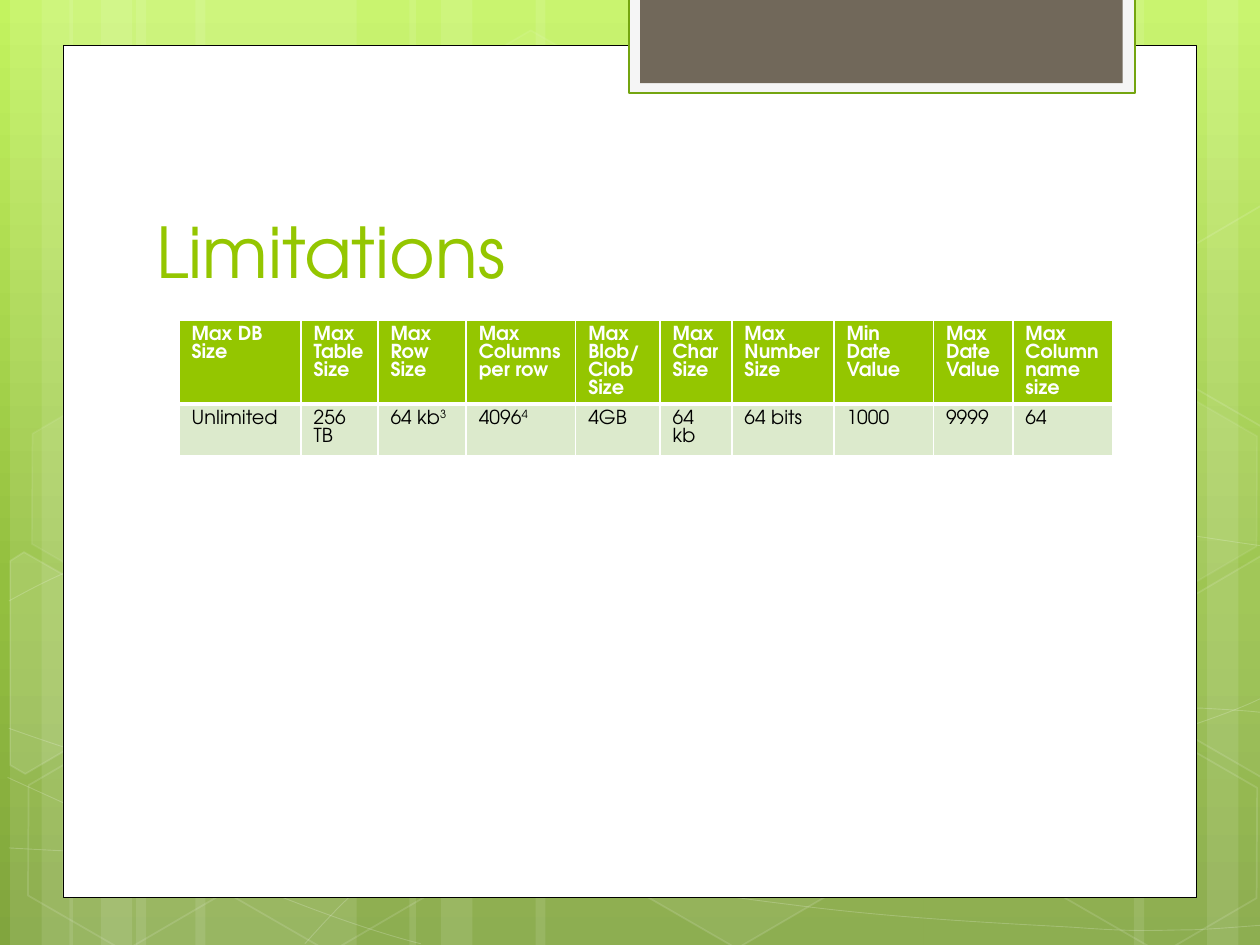
import math
from copy import deepcopy
from pptx import Presentation, util as u
from pptx.dml.color import RGBColor
from pptx.enum import shapes, text
from pptx.oxml import ns, xmlchemy as x

WHITE = RGBColor(0xFF, 0xFF, 0xFF)
BLACK = RGBColor(0, 0, 0)
LIME = RGBColor(0x94, 0xC6, 0x00)
PALE = RGBColor(0xDC, 0xEA, 0xCC)
GREEN = RGBColor(0x74, 0xA5, 0x10)
SMOKE = RGBColor(0xF5, 0xF5, 0xF5)
TAUPE = RGBColor(0x71, 0x68, 0x5A)
SKY = [(0, RGBColor(0xC3, 0xF3, 0x5F)), (0.62, RGBColor(0x93, 0xBF, 0x3F)),
       (1, RGBColor(0x81, 0xA5, 0x3E))]
FONT = "TeX Gyre Adventor"

LIMITS = [
    (0.97, "Max DB Size", "Unlimited", ""),
    (0.61, "Max Table Size", "256 TB", ""),
    (0.70, "Max Row Size", "64 kb", "3"),
    (0.87, "Max Columns per row", "4096", "4"),
    (0.67, "Max Blob/Clob Size", "4GB", ""),
    (0.57, "Max Char Size", "64 kb", ""),
    (0.81, "Max Number Size", "64 bits", ""),
    (0.79, "Min Date Value", "1000", ""),
    (0.63, "Max Date Value", "9999", ""),
    (0.79, "Max Column name size", "64", ""),
]
STRIPES = [(1.08, 1.75), (0.08, 0.5), (0.33, 0.83), (1.55, 1.75), (0.55, 0.5), (0.8, 0.83),
           (7.33, 1.75), (9.58, 0.5), (9, 0.83), (4.25, 3.08), (3.25, 0.5), (3.5, 0.83)]
STRAIGHT_START = (8.86, 5.62)
STRAIGHT_END = (9.53, 5.62)
CURVES = [
    [(0.07, 6.73), (0.61, 6.76), (1.15, 6.79), (1.9, 6.78), (2.65, 6.77), (3.58, 6.75),
     (4.58, 6.65), (5.58, 6.55), (7, 6.36), (7.92, 6.17), (8.83, 5.98), (9.77, 5.68),
     (10.07, 5.51)],
    [(0.07, 4.77), (0.36, 4.61), (0.65, 4.46), (1.21, 4.31), (1.78, 4.16), (2.59, 3.94),
     (3.47, 3.87), (4.36, 3.8), (5.44, 3.79), (6.54, 3.87), (7.64, 3.95), (9.47, 4.26),
     (10.07, 4.34)],
    [(0.06, 6.17), (1.27, 6.72), (2.47, 7.27), (3.34, 7.49)],
    [(0.07, 5.78), (0.38, 5.89), (0.7, 6), (1.28, 6.16), (1.86, 6.31), (2.73, 6.56),
     (3.57, 6.73), (4.4, 6.9), (5.45, 7.08), (6.28, 7.18), (7.11, 7.29), (8, 7.33),
     (8.53, 7.36), (9.05, 7.4), (9.19, 7.38), (9.45, 7.38), (9.71, 7.37), (9.89, 7.35),
     (10.07, 7.34)],
    [(2.42, 7.49), (2.6, 7.29), (2.78, 7.09), (3.02, 6.91), (3.26, 6.73), (3.6, 6.53),
     (3.88, 6.39), (4.16, 6.25), (4.33, 6.19), (4.7, 6.09), (5.06, 5.99), (5.73, 5.85),
     (6.08, 5.78), (6.44, 5.71), (6.49, 5.71), (6.8, 5.69), (7.11, 5.66), (7.6, 5.63),
     (7.94, 5.62), (8.29, 5.61), STRAIGHT_START, STRAIGHT_START, STRAIGHT_END,
     (9.71, 5.63), (9.88, 5.64), (9.97, 5.65), (10.06, 5.66), (10.03, 5.65), (10.06, 5.66)],
]
HEXAGONS = [(3.34, 0.36, 4, 8), (4.97, 5.89, 6, 12), (0.11, 5.91, 0, 12), (0.14, 3.12, 7, 8),
            (1.74, 5.92, 0, 12), (7.53, 4.53, 10, 12), (8.34, 5.93, 0, 12), (8.34, 3.14, 7, 8)]
CUT_HEXAGONS = [
    ([(0.08, 4.45), (0.19, 4.38), (0.96, 4.82), (0.95, 5.7), (0.2, 6.14), (0.08, 6.07)],
     (0.36, 5.35), 10),
    ([(9.26, 4.85), (10.01, 4.41), (10.09, 4.46), (10.09, 6.13), (10.02, 6.17),
      (9.26, 5.73)], (9.85, 5.2), 4),
    ([(9.26, 2.07), (10.01, 1.63), (10.1, 1.68), (10.09, 3.35), (10.02, 3.39),
      (9.26, 2.95)], (9.85, 2.41), 0),
]
TILT = 30
PANELS = [((0.5, 0.36, 9, 6.76), WHITE, BLACK, 0.5),
          ((4.99, -0.02, 4.02, 0.76), SMOKE, GREEN, 1.25),
          ((5.08, -0.02, 3.83, 0.68), TAUPE, None, 0)]


def paint(fill, color, opacity):
    if color is None or not opacity:
        fill.background()
        return
    fill.solid()
    fill.fore_color.rgb = color
    if opacity < 100:
        alpha = x.OxmlElement("a:alpha")
        alpha.set("val", str(opacity * 1000))
        fill._xPr.find(ns.qn("a:solidFill"))[0].append(alpha)


def style(shape, fill, opacity, line=None, width=0, line_opacity=100):
    shape.shadow.inherit = False
    paint(shape.fill, fill, opacity)
    paint(shape.line.fill, line, line_opacity)
    if line is not None:
        shape.line.width = u.Pt(width)


def add_preset(kind, *place):
    return page.shapes.add_shape(kind, *map(u.Inches, place))


def add_outline(points, close):
    points = [(u.Inches(a), u.Inches(b)) for a, b in points]
    builder = page.shapes.build_freeform(*points[0], scale=1.0)
    builder.add_line_segments(points[1:], close=close)
    return builder.convert_to_shape()


def add_curve(points):
    shape = add_outline(points, False)
    steps = shape._element.findall(".//" + ns.qn("a:lnTo"))
    place = 0
    while place < len(steps):
        if points[place + 1] == STRAIGHT_END:
            place += 1
            continue
        bend = x.OxmlElement("a:cubicBezTo")
        steps[place].addprevious(bend)
        for step in steps[place:place + 3]:
            bend.append(step[0])
            step.getparent().remove(step)
        place += 3
    return shape


def turn(point, center, degrees):
    angle = math.radians(degrees)
    across, down = point[0] - center[0], point[1] - center[1]
    return (center[0] + across * math.cos(angle) - down * math.sin(angle),
            center[1] + across * math.sin(angle) + down * math.cos(angle))


def format_run(span, size, color, bold=False):
    span.font.name = FONT
    span.font.size = u.Pt(size)
    span.font.color.rgb = color
    span.font.bold = bold


def set_borders(cell, bottom):
    props = cell._tc.get_or_add_tcPr()
    for place, (side, width) in enumerate((("L", 1), ("R", 1), ("T", 1), ("B", bottom))):
        line = x.OxmlElement("a:ln" + side)
        line.set("w", str(u.Pt(width)))
        solid = x.OxmlElement("a:solidFill")
        color = x.OxmlElement("a:srgbClr")
        color.set("val", str(WHITE))
        solid.append(color)
        line.append(solid)
        props.insert(place, line)


deck = Presentation()
deck.slide_width, deck.slide_height = u.Inches(10), u.Inches(7.5)
page = deck.slides.add_slide(deck.slide_layouts[5])

backdrop = page.background.fill
backdrop.gradient()
backdrop.gradient_angle = 270
stop_list = page._element.find(".//" + ns.qn("a:gsLst"))
stop_list.append(deepcopy(stop_list[-1]))
for stop, (position, color) in zip(backdrop.gradient_stops, SKY):
    stop.position = position
    stop.color.rgb = color

for left, width in STRIPES:
    style(add_preset(shapes.MSO_SHAPE.RECTANGLE, left, 0, width, 7.5), WHITE, 10)
for curve in CURVES:
    style(add_curve([p for i, p in enumerate(curve) if p != STRAIGHT_START or p != curve[i - 1]]),
          None, 0, WHITE, 0.5, 20)
for left, top, opacity, line_opacity in HEXAGONS:
    hexagon = add_preset(shapes.MSO_SHAPE.HEXAGON, left, top, 1.75, 1.52)
    hexagon.rotation = TILT
    hexagon.adjustments[0] = 0.285
    style(hexagon, WHITE, opacity, WHITE, 1, line_opacity)
for corners, center, opacity in CUT_HEXAGONS:
    cut = add_outline([turn(corner, center, -TILT) for corner in corners], True)
    cut.rotation = TILT
    style(cut, WHITE, opacity, WHITE, 1, 12)
for place, fill, line, width in PANELS:
    style(add_preset(shapes.MSO_SHAPE.RECTANGLE, *place), fill, 100, line, width)

title = page.shapes.title
page.shapes._spTree.append(title._element)
title.left, title.top, title.width, title.height = map(u.Inches, (1.14, 1.12, 7.68, 1.25))
title.text_frame.text = "Limitations"
title.text_frame.auto_size = text.MSO_AUTO_SIZE.NONE
title.text_frame.vertical_anchor = text.MSO_ANCHOR.BOTTOM
title.text_frame.paragraphs[0].alignment = text.PP_ALIGN.LEFT
format_run(title.text_frame.paragraphs[0].runs[0], 40, LIME)

frame = page.shapes.add_table(2, len(LIMITS), *map(u.Inches, (1.42, 2.54, 7.41, 0.82)))
table = frame.table
table.horz_banding = False
for column, (width, heading, value, note) in enumerate(LIMITS):
    table.columns[column].width = u.Inches(width)
    for row, (words, fill, ink, bottom) in enumerate(((heading, LIME, WHITE, 3),
                                                      (value, PALE, BLACK, 1))):
        cell = table.cell(row, column)
        cell.text_frame.text = words
        para = cell.text_frame.paragraphs[0]
        if row and note:
            mark = para.add_run()
            mark.text = note
            mark.font._element.set("baseline", "30000")
        for span in para.runs:
            format_run(span, 11, ink, row == 0)
        cell.fill.solid()
        cell.fill.fore_color.rgb = fill
        set_borders(cell, bottom)
frame.height = u.Inches(1.3)

deck.save("out.pptx")
